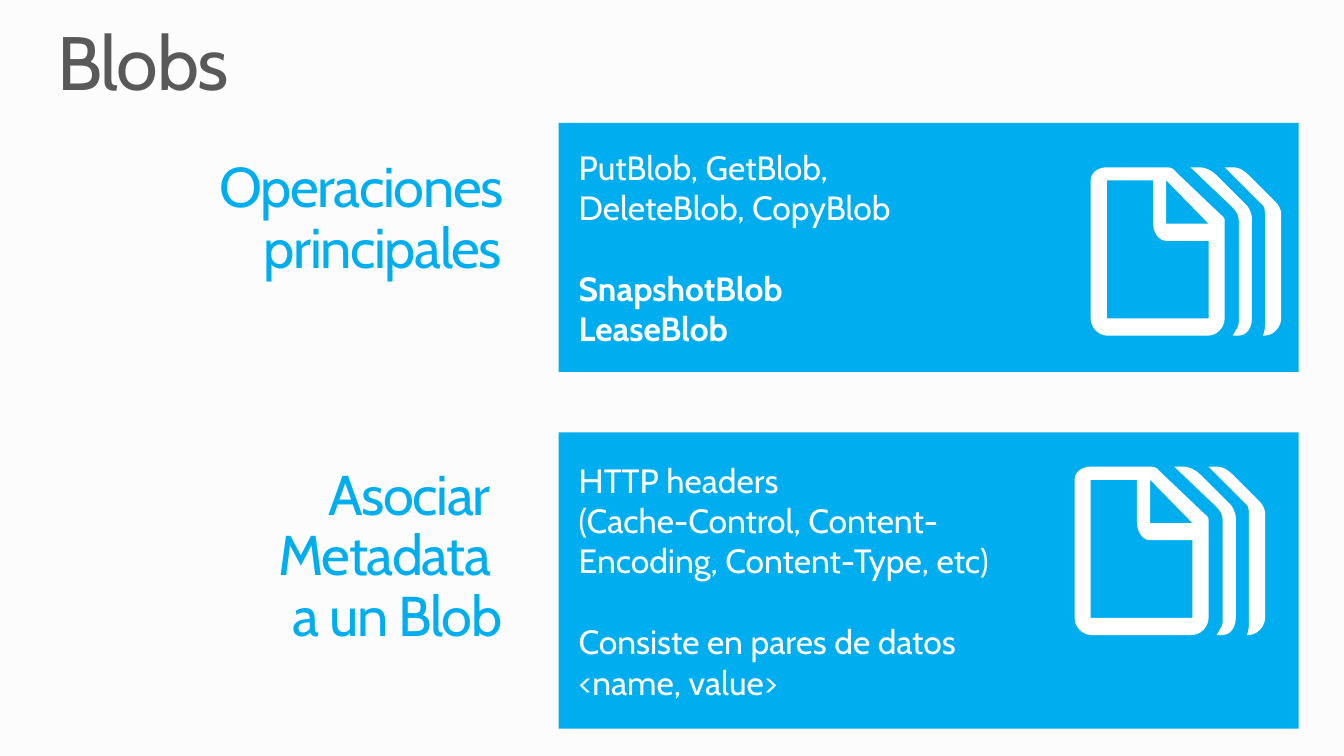
from dataclasses import dataclass

from pptx import Presentation, util as u
from pptx.dml.color import RGBColor
from pptx.enum import shapes, text

HUES = {"back": "FCFCFC", "blue": "00AEEF", "gray": "595959", "white": "FFFFFF"}
FONT = "Cabin"
WIDE, HIGH = u.Inches(13.333), u.Inches(7.5)
UNIT = 9144  # icon units are hundredths of an inch
STEPS = 6  # straight pieces per curve

# Icon outlines: two numbers make a corner, six make a Bezier curve
ICON = [
    # Front sheet, folded corner and inner area
    [(133, 54), (133, 51, 133, 50, 128, 46), (85, 5), (82, 1, 79, 0, 75, 0),
     (16, 0), (8, 0, 0, 5, 0, 13), (0, 150), (0, 159, 8, 167, 16, 167),
     (117, 167), (125, 167, 133, 159, 133, 150)],
    [(75, 13), (117, 56), (75, 56)],
    [(117, 150), (16, 150), (16, 13), (62, 13), (62, 56),
     (62, 64, 67, 73, 75, 73), (117, 73)],
    # Two sheets behind
    [(155, 38), (157, 40, 160, 46, 160, 51), (160, 150),
     (160, 159, 155, 167, 147, 167), (141, 167),
     (144, 161, 147, 159, 147, 153), (147, 56), (147, 51, 147, 46, 141, 40),
     (99, 0), (107, 0), (109, 0, 117, 0, 125, 8)],
    [(184, 35), (187, 38, 189, 43, 189, 46), (189, 150),
     (189, 159, 181, 167, 173, 167), (171, 167),
     (173, 161, 173, 159, 173, 153), (173, 48), (173, 46, 173, 40, 171, 38),
     (133, 0), (139, 0), (144, 0, 149, 0, 157, 8)],
]


@dataclass
class Box:
    """A place on the slide, in percent of its width and height."""
    left: float
    top: float
    width: float
    height: float

    def emu(self) -> tuple:
        return (across(self.left), down(self.top),
                across(self.width), down(self.height))


@dataclass
class Line:
    text: str
    bold: bool = False
    before: float = 0


@dataclass
class Topic:
    label: str
    spot: Box
    panel: Box
    right: float  # right inset of the panel
    lines: list
    icon: tuple


GAP = 29  # one line of body text, in points
TOPICS = [
    Topic("Operaciones principales", Box(4.28, 21.07, 33.08, 16.13),
          Box(41.56, 16.27, 55.06, 32.93), 13.5,
          [Line("PutBlob, GetBlob,"), Line("DeleteBlob, CopyBlob"),
           Line("SnapshotBlob", True, GAP), Line("LeaseBlob", True)],
          (81.15, 22.13)),
    Topic("Asociar \nMetadata \na un Blob", Box(4.28, 61.73, 33.08, 24.27),
          Box(41.56, 57.2, 55.06, 39.2), 20.25,
          [Line("HTTP headers \n(Cache-Control, Content-Encoding, Content-Type, etc)"),
           Line("Consiste en pares de datos <name, value>", before=GAP)],
          (79.95, 61.73)),
]


def across(share: float) -> int:
    return round(WIDE * share / 100)


def down(share: float) -> int:
    return round(HIGH * share / 100)


def hue(name: str) -> RGBColor:
    return RGBColor.from_string(HUES[name])


def paint(shape, name: str) -> None:
    shape.shadow.inherit = False
    shape.fill.solid()
    shape.fill.fore_color.rgb = hue(name)
    shape.line.fill.background()


def write(frame, lines: list, *, size: float, color: str, align: str = "LEFT",
          anchor: str = "TOP", inset: tuple = (0, 0, 0, 0), space: float = 1,
          after: float = 0, track: int = 0) -> None:
    frame.word_wrap = True
    frame.vertical_anchor = text.MSO_ANCHOR[anchor]
    frame.margin_left, frame.margin_right = across(inset[0]), across(inset[2])
    frame.margin_top, frame.margin_bottom = down(inset[1]), down(inset[3])
    for i, line in enumerate(lines):
        para = frame.add_paragraph() if i else frame.paragraphs[0]
        para.alignment = text.PP_ALIGN[align]
        para.line_spacing = space
        para.space_before, para.space_after = u.Pt(line.before), u.Pt(after)
        for j, part in enumerate(line.text.split("\n")):
            if j:
                para.add_line_break()
            run = para.add_run()
            run.text = part
            font = run.font
            font.name, font.size, font.bold = FONT, u.Pt(size), line.bold
            font.color.rgb = hue(color)
            if track:
                font._element.set("spc", str(track))


def label(slide, words: str, box: Box, **form) -> None:
    frame = slide.shapes.add_textbox(*box.emu()).text_frame
    write(frame, [Line(words)], space=0.9, track=-100, **form)


def trace(marks: list) -> list:
    """Turn corners and curves into a list of points."""
    points = [marks[0]]
    for mark in marks[1:]:
        if len(mark) == 2:
            points.append(mark)
            continue
        knots = [points[-1], mark[:2], mark[2:4], mark[4:]]
        for step in range(1, STEPS + 1):
            t = step / STEPS
            parts = ((1 - t) ** 3, 3 * t * (1 - t) ** 2, 3 * t * t * (1 - t), t ** 3)
            points.append(tuple(sum(p * k[axis] for p, k in zip(parts, knots))
                                for axis in (0, 1)))
    return points


def draw_icon(slide, left: float, top: float) -> None:
    pen = None
    for marks in ICON:
        first, *rest = [(x * UNIT, y * UNIT) for x, y in trace(marks)]
        if pen is None:
            pen = slide.shapes.build_freeform(*first, scale=1.0)
        else:
            pen.move_to(*first)
        pen.add_line_segments(rest, close=True)
    paint(pen.convert_to_shape(across(left), down(top)), "white")


def draw_topic(slide, topic: Topic) -> None:
    panel = slide.shapes.add_shape(shapes.MSO_SHAPE.RECTANGLE, *topic.panel.emu())
    paint(panel, "blue")
    write(panel.text_frame, topic.lines, size=24, color="white", anchor="MIDDLE",
          inset=(1.5, 0.67, topic.right, 0.67))
    label(slide, topic.label, topic.spot, size=40, color="blue", align="RIGHT", after=9)
    draw_icon(slide, *topic.icon)


def main() -> None:
    deck = Presentation()
    deck.slide_width, deck.slide_height = WIDE, HIGH
    slide = deck.slides.add_slide(deck.slide_layouts[6])
    slide.background.fill.solid()
    slide.background.fill.fore_color.rgb = hue("back")
    # Title
    label(slide, "Blobs", Box(4.28, 3.33, 91.45, 10.93), size=54, color="gray")
    # Topics
    for topic in TOPICS:
        draw_topic(slide, topic)
    deck.save("out.pptx")


if __name__ == "__main__":
    main()
